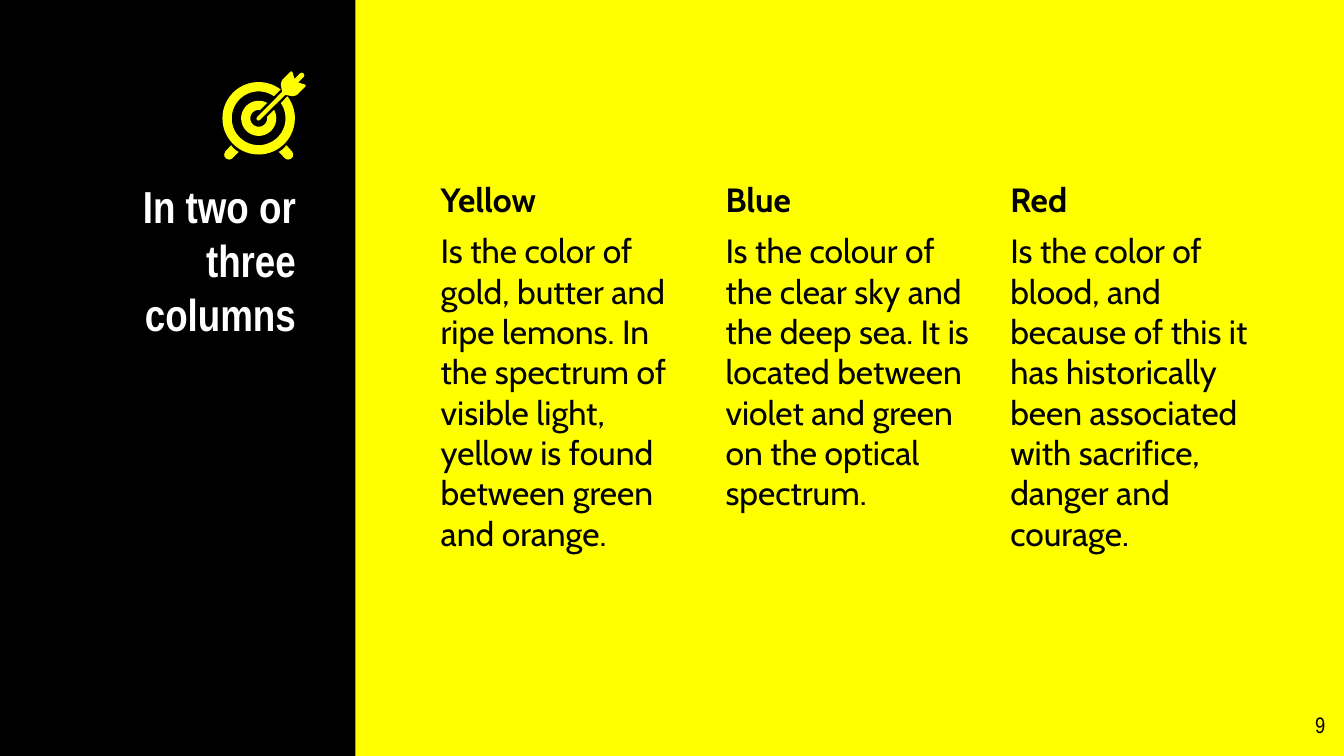
from math import asin, cos, pi, sin

from pptx import Presentation
from pptx.dml.color import RGBColor
from pptx.enum.shapes import MSO_SHAPE
from pptx.enum.text import PP_ALIGN
from pptx.util import Pt

RECT = MSO_SHAPE.RECTANGLE
LEFT = PP_ALIGN.LEFT
RIGHT = PP_ALIGN.RIGHT

YELLOW = "FFFF00"
BLACK = "000000"
WHITE = "FFFFFF"
HEAD = "Arial Narrow"
BODY = "Cabin"

MID = (138.6, 63.4)
RINGS = [(19.4, 14.4), (9.4, 4.5)]
GAP = 2.6
FOOT = [(-14.8, 14.4), (-17.9, 17.8), (-18.5, 19.2), (-18.3, 20.6),
        (-17.2, 21.7), (-15.8, 22.1), (-14.6, 21.8), (-13.9, 21.2),
        (-10.7, 18), (-12.2, 17.1), (-13.6, 15.9)]
DART = [(-0.9, 0.9), (-1.2, 0.2), (-0.8, -0.8), (12.6, -14.2),
        (11.9, -17.8), (12, -19.2), (12.6, -20.5), (17, -25),
        (17.6, -25.2), (18.1, -24.8), (19.2, -21.1), (22.2, -24.1),
        (23, -24.5), (23.9, -24.1)]

COLUMNS = [
    ("Yellow", "Is the color of gold, butter and ripe lemons. In the spectrum "
     "of visible light, yellow is found between green and orange."),
    ("Blue", "Is the colour of the clear sky and the deep sea. It is located "
     "between violet and green on the optical spectrum."),
    ("Red", "Is the color of blood, and because of this it has historically "
     "been associated with sacrifice, danger and courage."),
]


def paint(fill, color):
    fill.solid()
    fill.fore_color.rgb = RGBColor.from_string(color)


def write(para, text, size=18, font=BODY, color=BLACK, bold=False,
          align=LEFT, before=0):
    para.alignment = align
    para.space_before = Pt(before)
    run = para.add_run()
    run.text = text
    run.font.size = Pt(size)
    run.font.name = font
    run.font.bold = bold
    paint(run.font.fill, color)


def arc(radius, steps=60):
    half = asin(GAP / radius)
    start = -pi / 4 + half
    sweep = 2 * (pi - half)
    turns = [start + sweep * i / steps for i in range(steps + 1)]
    return [(radius * cos(t), radius * sin(t)) for t in turns]


class Deck:
    def __init__(self, wide, high):
        self.show = Presentation()
        self.show.slide_width = Pt(wide)
        self.show.slide_height = Pt(high)
        self.slide = self.show.slides.add_slide(self.show.slide_layouts[6])
        paint(self.slide.background.fill, YELLOW)

    def finish(self, shape, color):
        shape.shadow.inherit = False
        paint(shape.fill, color)
        shape.line.fill.background()

    def panel(self, x, y, wide, high, color):
        shape = self.slide.shapes.add_shape(
            RECT, Pt(x), Pt(y), Pt(wide), Pt(high))
        self.finish(shape, color)

    def outline(self, points, color):
        spots = [(Pt(MID[0] + x), Pt(MID[1] + y)) for x, y in points]
        pen = self.slide.shapes.build_freeform(*spots[0], scale=1.0)
        pen.add_line_segments(spots[1:], close=True)
        self.finish(pen.convert_to_shape(), color)

    def text(self, x, y, wide, high, *parts):
        box = self.slide.shapes.add_textbox(Pt(x), Pt(y), Pt(wide), Pt(high))
        frame = box.text_frame
        frame.word_wrap = True
        frame.margin_left = frame.margin_right = Pt(7.2)
        frame.margin_top = frame.margin_bottom = Pt(7.2)
        for i, (words, style) in enumerate(parts):
            para = frame.add_paragraph() if i else frame.paragraphs[0]
            write(para, words, **style)


def main():
    deck = Deck(720, 405)
    deck.panel(0, 0, 190.5, 405, BLACK)
    deck.text(31.7, 88.6, 133.9, 116.6, (
        "In two or three columns",
        dict(size=24, font=HEAD, color=WHITE, bold=True, align=RIGHT)))

    for i, (title, body) in enumerate(COLUMNS):
        deck.text(229 + i * 152.6, 88.6, 145.4, 298.8,
                  (title, dict(bold=True, before=6)),
                  (body, dict(before=6)))

    for outer, inner in RINGS:
        deck.outline(arc(outer) + arc(inner)[::-1], YELLOW)
    for side in (1, -1):
        deck.outline([(side * x, y) for x, y in FOOT], YELLOW)
    deck.outline(DART + [(-y, -x) for x, y in DART[::-1]], YELLOW)

    deck.text(673.9, 373.7, 43.2, 31,
              ("9", dict(size=12, font=HEAD, align=RIGHT)))
    deck.show.save("out.pptx")


if __name__ == "__main__":
    main()
